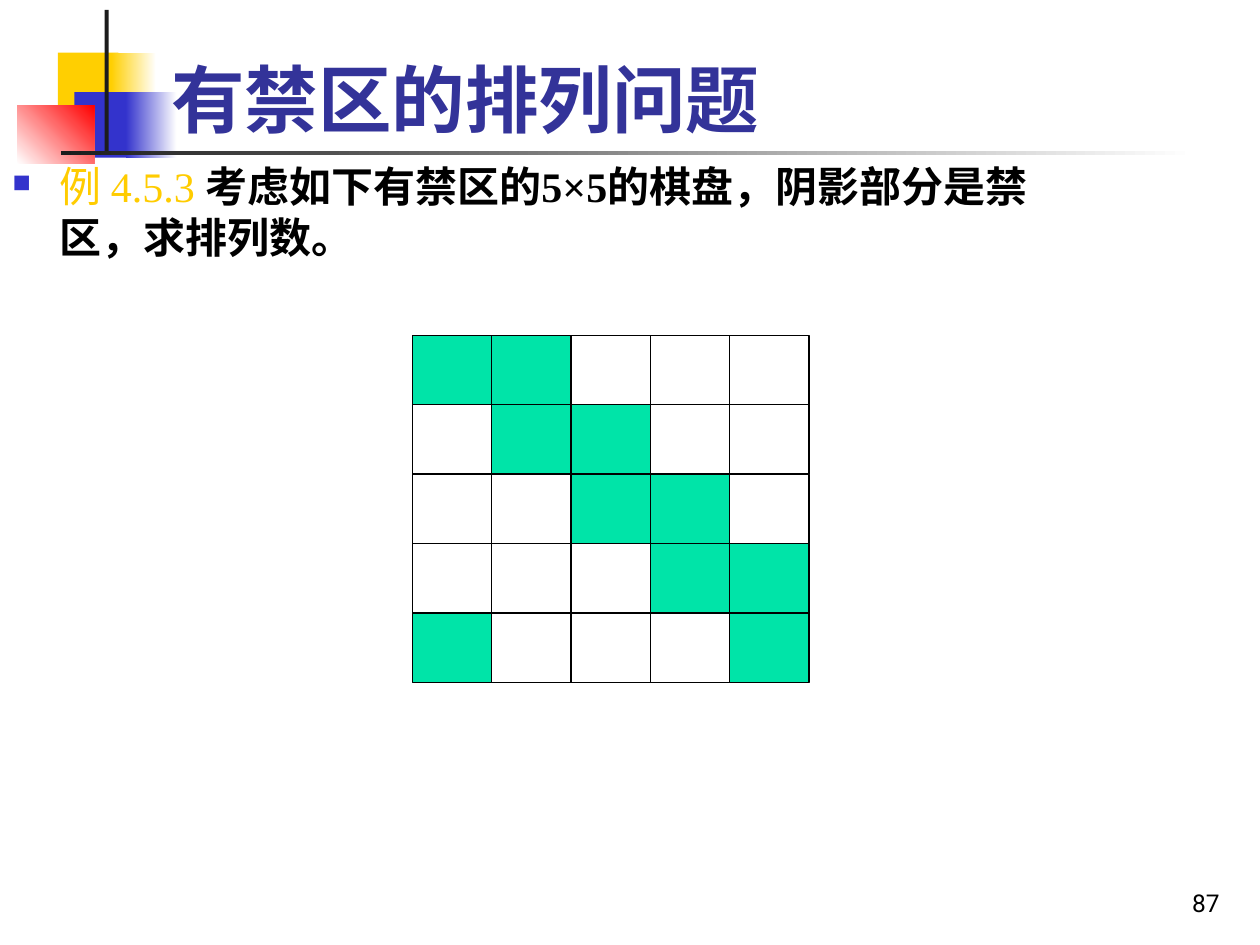
from dataclasses import dataclass
from typing import Optional

from lxml.etree import SubElement
from pptx import Presentation
from pptx.dml.color import RGBColor
from pptx.enum.shapes import MSO_SHAPE
from pptx.enum.text import MSO_ANCHOR, MSO_AUTO_SIZE, PP_ALIGN
from pptx.oxml.ns import qn
from pptx.util import Cm, Pt

BLACK = RGBColor(0x00, 0x00, 0x00)
WHITE = RGBColor(0xFF, 0xFF, 0xFF)
YELLOW = RGBColor(0xFF, 0xCF, 0x01)
BLUE = RGBColor(0x33, 0x33, 0xCC)
RED = RGBColor(0xFF, 0x00, 0x00)
CHARCOAL = RGBColor(0x1C, 0x1C, 0x1C)
NAVY = RGBColor(0x33, 0x33, 0x99)
GOLD = RGBColor(0xFF, 0xCC, 0x00)
GREEN = RGBColor(0x00, 0xE4, 0xA8)

BOARD = ("##...", ".##..", "..##.", "...##", "#...#")
BOARD_LEFT, BOARD_TOP = 8.31, 6.76
CELL_WIDTH, CELL_HEIGHT = 1.6, 1.4


@dataclass
class Block:
    left: float
    top: float
    width: float
    height: float
    color: RGBColor
    fade_to: Optional[RGBColor] = None
    angle: float = 0
    line: Optional[RGBColor] = None


ORNAMENTS = (
    Block(1.17, 1.06, 1.22, 1.32, YELLOW),
    Block(2.24, 1.06, 0.91, 1.32, YELLOW, WHITE),
    Block(1.5, 1.86, 1.17, 1.32, BLUE),
    Block(2.54, 1.86, 1.02, 1.32, BLUE, WHITE),
    Block(0.35, 2.12, 1.55, 1.18, WHITE, RED, 45),
    Block(2.11, 0.2, 0.08, 2.92, CHARCOAL),
    Block(1.23, 3.05, 22.86, 0.08, CHARCOAL, WHITE),
)


def add_block(shapes, block: Block) -> None:
    sp = shapes.add_shape(MSO_SHAPE.RECTANGLE, Cm(block.left), Cm(block.top),
                          Cm(block.width), Cm(block.height))
    sp.shadow.inherit = False
    if block.fade_to is None:
        sp.fill.solid()
        sp.fill.fore_color.rgb = block.color
    else:
        sp.fill.gradient()
        sp.fill.gradient_angle = block.angle
        for stop, color in zip(sp.fill.gradient_stops, (block.color, block.fade_to)):
            stop.color.rgb = color
    if block.line is None:
        sp.line.fill.background()
    else:
        sp.line.color.rgb = block.line
        sp.line.width = Pt(0.75)


def add_run(p, text: str, font: str, size: float, color: RGBColor, bold: bool = False) -> None:
    r = p.add_run()
    r.text = text
    r.font.name = font
    r.font.size = Pt(size)
    r.font.color.rgb = color
    r.font.bold = bold


def add_bullet(p, char: str, color: RGBColor, percent: int, indent: float) -> None:
    pPr = p._p.get_or_add_pPr()
    pPr.set("marL", str(Cm(indent)))
    pPr.set("indent", str(-Cm(indent)))
    SubElement(SubElement(pPr, qn("a:buClr")), qn("a:srgbClr")).set("val", str(color))
    SubElement(pPr, qn("a:buSzPct")).set("val", str(percent * 1000))
    SubElement(pPr, qn("a:buChar")).set("char", char)


def add_title(s, text: str) -> None:
    sp = s.shapes.title
    s.shapes._spTree.append(sp._element)
    sp.left, sp.top, sp.width, sp.height = Cm(3.2), Cm(0.2), Cm(21.64), Cm(2.8)
    tf = sp.text_frame
    tf.auto_size = MSO_AUTO_SIZE.NONE
    tf.vertical_anchor = MSO_ANCHOR.BOTTOM
    p = tf.paragraphs[0]
    p.alignment = PP_ALIGN.LEFT
    add_run(p, text, "Roboto", 42, NAVY, True)


def add_text_box(s, left: float, top: float, width: float, height: float):
    tf = s.shapes.add_textbox(Cm(left), Cm(top), Cm(width), Cm(height)).text_frame
    tf.word_wrap = True
    return tf


def add_problem(s) -> None:
    p = add_text_box(s, 0, 3.12, 21.59, 11.43).paragraphs[0]
    add_bullet(p, "■", BLUE, 60, 0.95)
    add_run(p, "例 4.5.3 ", "Times New Roman", 24, GOLD)
    add_run(p, "考虑如下有禁区的5×5的棋盘，阴影部分是禁区，求排列数。",
            "Times New Roman", 24, BLACK, True)


def add_board(s) -> None:
    board = s.shapes.add_group_shape()
    for row, cells in enumerate(BOARD):
        for col, cell in enumerate(cells):
            add_block(board.shapes, Block(
                BOARD_LEFT + col * CELL_WIDTH, BOARD_TOP + row * CELL_HEIGHT,
                CELL_WIDTH, CELL_HEIGHT, GREEN if cell == "#" else WHITE, line=BLACK))


def add_page_number(s, number: str) -> None:
    tf = add_text_box(s, 19.56, 17.35, 5.28, 1.27)
    tf.vertical_anchor = MSO_ANCHOR.BOTTOM
    p = tf.paragraphs[0]
    p.alignment = PP_ALIGN.RIGHT
    add_run(p, number, "Roboto", 14, BLACK)


def main() -> None:
    """Build the slide on permutations with forbidden positions."""
    prs = Presentation()
    prs.slide_width, prs.slide_height = Cm(25.4), Cm(19.05)
    s = prs.slides.add_slide(prs.slide_layouts[5])
    for block in ORNAMENTS:
        add_block(s.shapes, block)
    add_page_number(s, "87")
    add_title(s, "有禁区的排列问题")
    add_problem(s)
    add_board(s)
    prs.save("out.pptx")


if __name__ == "__main__":
    main()
